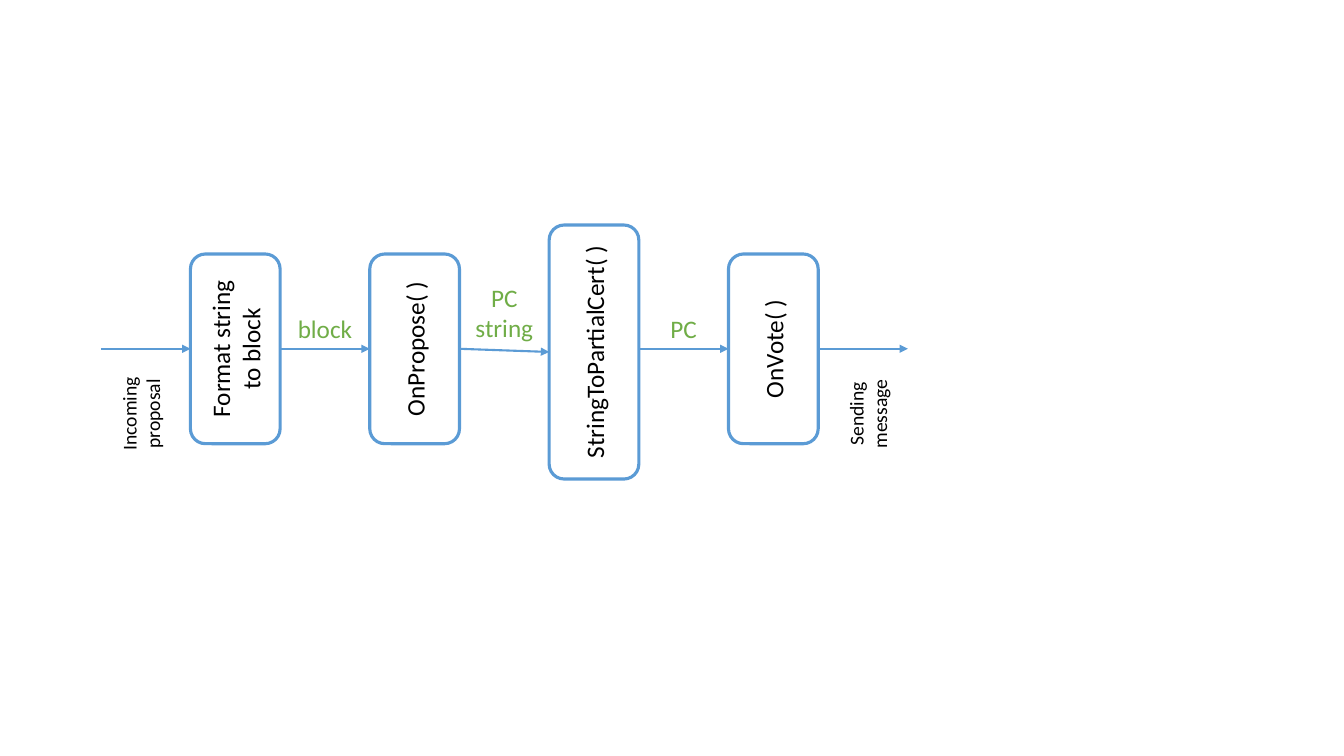
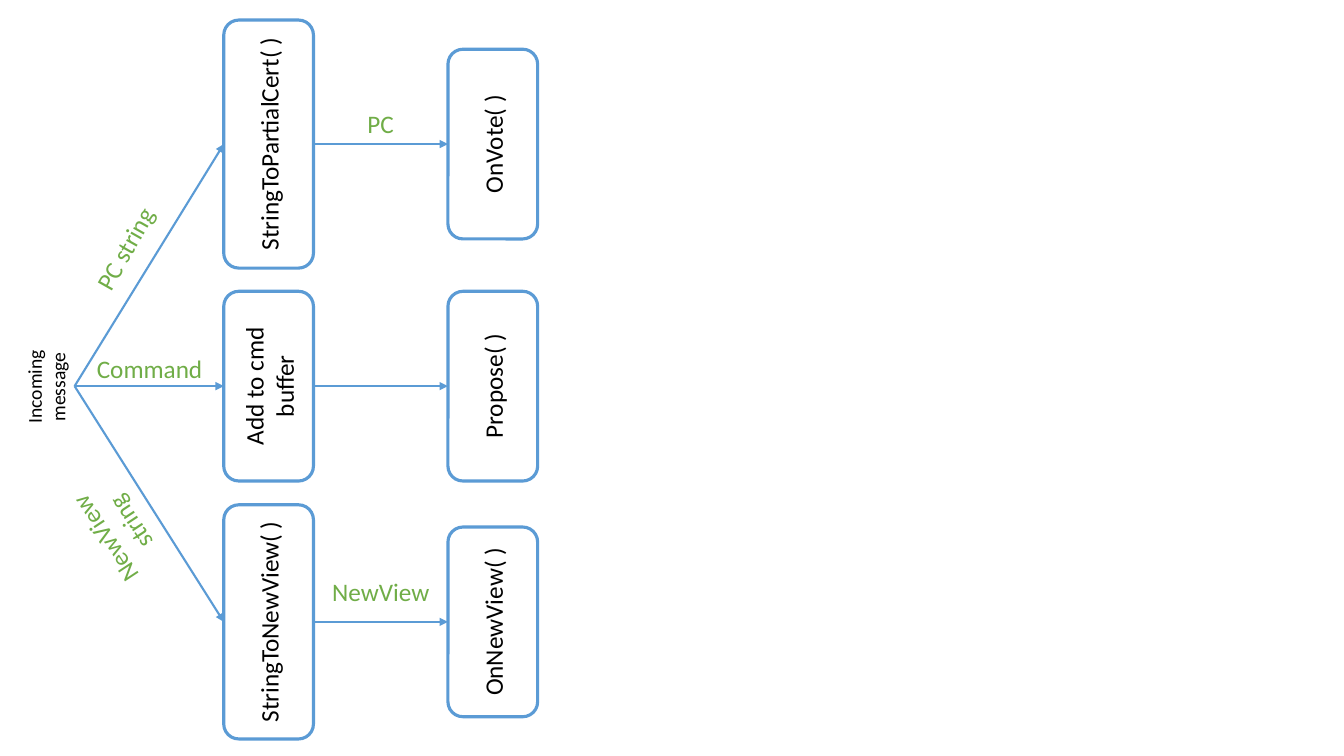
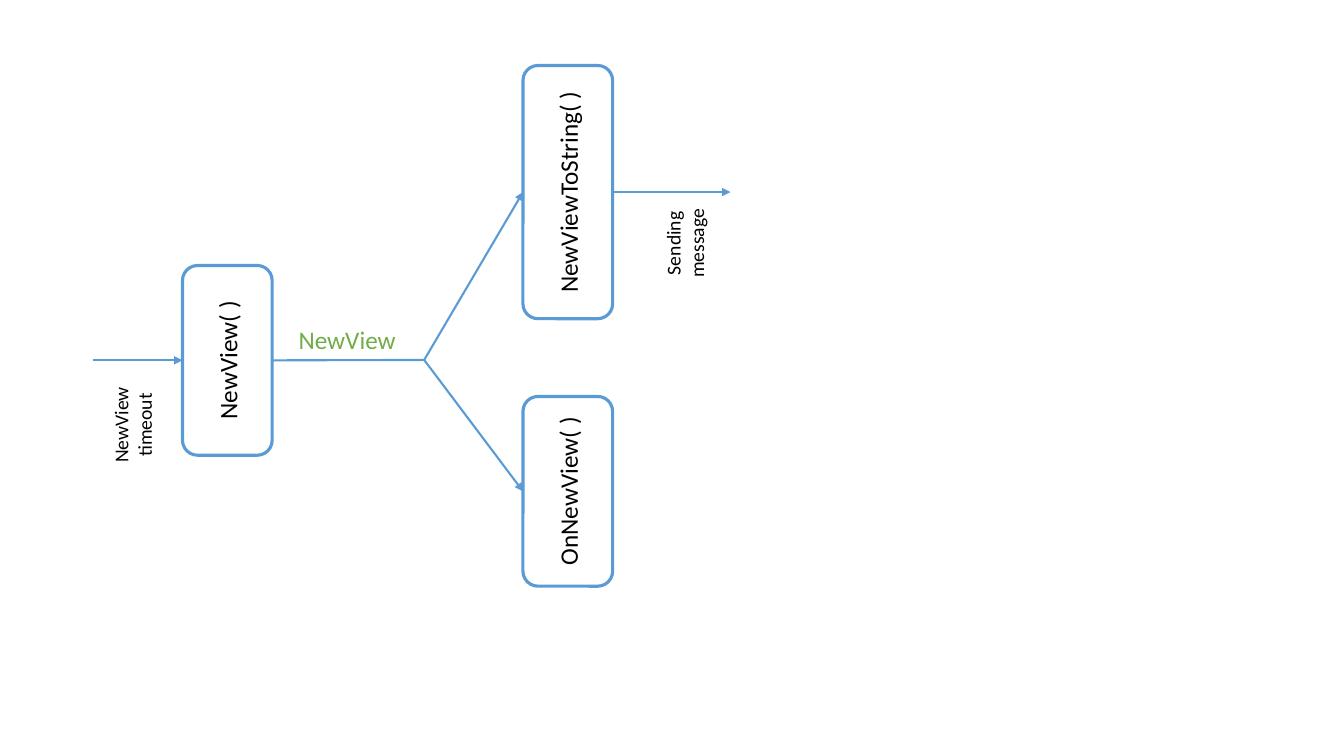
from dataclasses import dataclass

from pptx import Presentation
from pptx.dml.color import RGBColor
from pptx.enum.shapes import MSO_CONNECTOR, MSO_SHAPE
from pptx.enum.text import MSO_ANCHOR, MSO_AUTO_SIZE, PP_ALIGN
from pptx.oxml.ns import qn
from pptx.util import Cm, Pt
from lxml.etree import SubElement

COLORS = {"line": "5B9BD5", "box": "FFFFFF", "text": "000000", "label": "70AD47"}
FONT = "Calibri"
THICKNESS = 2.26
BOX_LENGTH = 4.78
TEXT_WIDTH = 3.28
LINE_HEIGHT = {1: 1.02, 2: 1.8}
NOTE_HEIGHT = 1.45
UPWARD = 270


@dataclass
class Step:
    """A step box, known by its centre."""

    x: float
    y: float

    @property
    def entry(self):
        """Return the middle of the left side."""
        return self.x - THICKNESS / 2, self.y

    @property
    def exit(self):
        """Return the middle of the right side."""
        return self.x + THICKNESS / 2, self.y


def color(name):
    """Return a palette colour."""
    return RGBColor.from_string(COLORS[name])


def frame_of(x, y, width, height):
    """Return left, top, width and height around a centre in centimetres."""
    return Cm(x - width / 2), Cm(y - height / 2), Cm(width), Cm(height)


def write(shape, text, size=18, ink="text", anchor=MSO_ANCHOR.TOP):
    """Write centred text, with a line break at each newline."""
    frame = shape.text_frame
    frame.word_wrap = True
    frame.vertical_anchor = anchor
    paragraph = frame.paragraphs[0]
    paragraph.alignment = PP_ALIGN.CENTER
    for index, line in enumerate(text.split("\n")):
        if index:
            paragraph.add_line_break()
        run = paragraph.add_run()
        run.text = line
        run.font.name = FONT
        run.font.size = Pt(size)
        run.font.color.rgb = color(ink)


def add_step(slide, text, x, y, length=BOX_LENGTH):
    """Add a rounded box that reads upward and return its step."""
    shape = slide.shapes.add_shape(
        MSO_SHAPE.ROUNDED_RECTANGLE, *frame_of(x, y, length, THICKNESS))
    shape.rotation = UPWARD
    shape.shadow.inherit = False
    shape.fill.solid()
    shape.fill.fore_color.rgb = color("box")
    shape.line.color.rgb = color("line")
    shape.line.width = Pt(2.25)
    write(shape, text, anchor=MSO_ANCHOR.MIDDLE)
    return Step(x, y)


def add_text(slide, text, x, y, height, rotation=0, **style):
    """Add a text box around a centre."""
    shape = slide.shapes.add_textbox(*frame_of(x, y, TEXT_WIDTH, height))
    shape.rotation = rotation
    write(shape, text, **style)
    shape.text_frame.auto_size = MSO_AUTO_SIZE.SHAPE_TO_FIT_TEXT


def add_label(slide, text, x, y, lines=1, rotation=0):
    """Add a green label that names the data on an arrow."""
    add_text(slide, text, x, y, LINE_HEIGHT[lines], rotation, ink="label")


def add_note(slide, text, x, y):
    """Add a small upward note beside an outer arrow."""
    add_text(slide, text, x, y, NOTE_HEIGHT, UPWARD, size=14)


def add_arrow(slide, start, end, head=True):
    """Add a straight line between two points, with or without a head."""
    points = [Cm(value) for value in (*start, *end)]
    connector = slide.shapes.add_connector(MSO_CONNECTOR.STRAIGHT, *points)
    connector.line.color.rgb = color("line")
    connector.line.width = Pt(1.5)
    properties = connector.element.spPr
    if head:
        SubElement(properties.find(qn("a:ln")), qn("a:tailEnd"), type="triangle")
    SubElement(properties, qn("a:effectLst"))


def draw_proposal_chain(slide, left, middle):
    """Draw the chain from an incoming proposal to a sent message."""
    pitch = 2 * THICKNESS
    chain = [
        ("Format string to block", BOX_LENGTH, 0, "block"),
        ("OnPropose( )", BOX_LENGTH, 0, "PC\nstring"),
        ("StringToPartialCert( )", 6.4, 0.08, "PC"),
        ("OnVote( )", BOX_LENGTH, 0, None),
    ]
    steps = [
        add_step(slide, text, left + 1.5 * THICKNESS + index * pitch, middle + drop, length)
        for index, (text, length, drop, _) in enumerate(chain)
    ]
    add_arrow(slide, (left, middle), steps[0].entry)
    for (*_, label), step, following in zip(chain, steps, steps[1:]):
        start_x = step.exit[0]
        start_y = middle if label == "PC" else step.y
        end_y = following.y
        add_arrow(slide, (start_x, start_y), (following.entry[0], end_y))
        lines = len(label.split("\n"))
        add_label(slide, label, step.x + THICKNESS, middle - LINE_HEIGHT[lines] / 2, lines)
    finish = steps[-1].exit
    add_arrow(slide, finish, (finish[0] + THICKNESS, middle))
    add_note(slide, "Incoming proposal", left + 1.01, middle + 1.64)
    add_note(slide, "Sending message", finish[0] + 1.25, middle + 1.64)


def draw_message_fan(slide, left, middle):
    """Draw an incoming message that goes to one of three handlers."""
    source = (left, middle)
    rows = [
        ("StringToPartialCert( )", 6.25, "OnVote( )", -6.1, "PC", -0.52),
        ("Add to cmd buffer", BOX_LENGTH, "Propose( )", 0, None, 0),
        ("StringToNewView( )", 5.9, "OnNewView( )", 5.94, "NewView", -0.75),
    ]
    for first, length, second, offset, label, rise in rows:
        y = middle + offset
        parser = add_step(slide, first, left + 4.89, y, length)
        handler = add_step(slide, second, left + 10.54, y)
        add_arrow(slide, source, parser.entry)
        add_arrow(slide, parser.exit, handler.entry)
        if label:
            add_label(slide, label, (parser.x + handler.x) / 2, y + rise)
    add_label(slide, "PC string", left + 1.26, middle - 3.47, rotation=299.5)
    add_label(slide, "Command", left + 1.89, middle - 0.45)
    add_label(slide, "NewView string", left + 1.08, middle + 3.65, 2, rotation=236.6)
    add_note(slide, "Incoming message", left - 0.72, middle + 0.02)


def draw_timeout_fork(slide, left, middle):
    """Draw a timeout whose new view is both sent and handled."""
    fork = (left + 8.35, middle - 0.01)
    new_view = add_step(slide, "NewView( )", left + 1.5 * THICKNESS, middle)
    to_string = add_step(slide, "NewViewToString( )", left + 11.97, middle - 4.24, 6.38)
    handler = add_step(slide, "OnNewView( )", left + 11.97, middle + 3.3)
    add_arrow(slide, (left, middle), new_view.entry)
    add_arrow(slide, new_view.exit, fork, head=False)
    for branch in (to_string, handler):
        add_arrow(slide, fork, branch.entry)
    finish = to_string.exit
    add_arrow(slide, finish, (finish[0] + 2.97, finish[1]))
    add_label(slide, "NewView", left + 6.41, middle - 0.52)
    add_note(slide, "NewView timeout", left + 1, middle + 1.63)
    add_note(slide, "Sending message", finish[0] + 1.82, finish[1] + 1.29)


def main():
    """Build and save the presentation."""
    presentation = Presentation()
    presentation.slide_width = Cm(33.87)
    presentation.slide_height = Cm(19.05)
    diagrams = [
        (draw_proposal_chain, 2.54, 8.79),
        (draw_message_fan, 1.88, 9.73),
        (draw_timeout_fork, 2.34, 9.08),
    ]
    for draw, left, middle in diagrams:
        draw(presentation.slides.add_slide(presentation.slide_layouts[6]), left, middle)
    presentation.save("out.pptx")


main()
